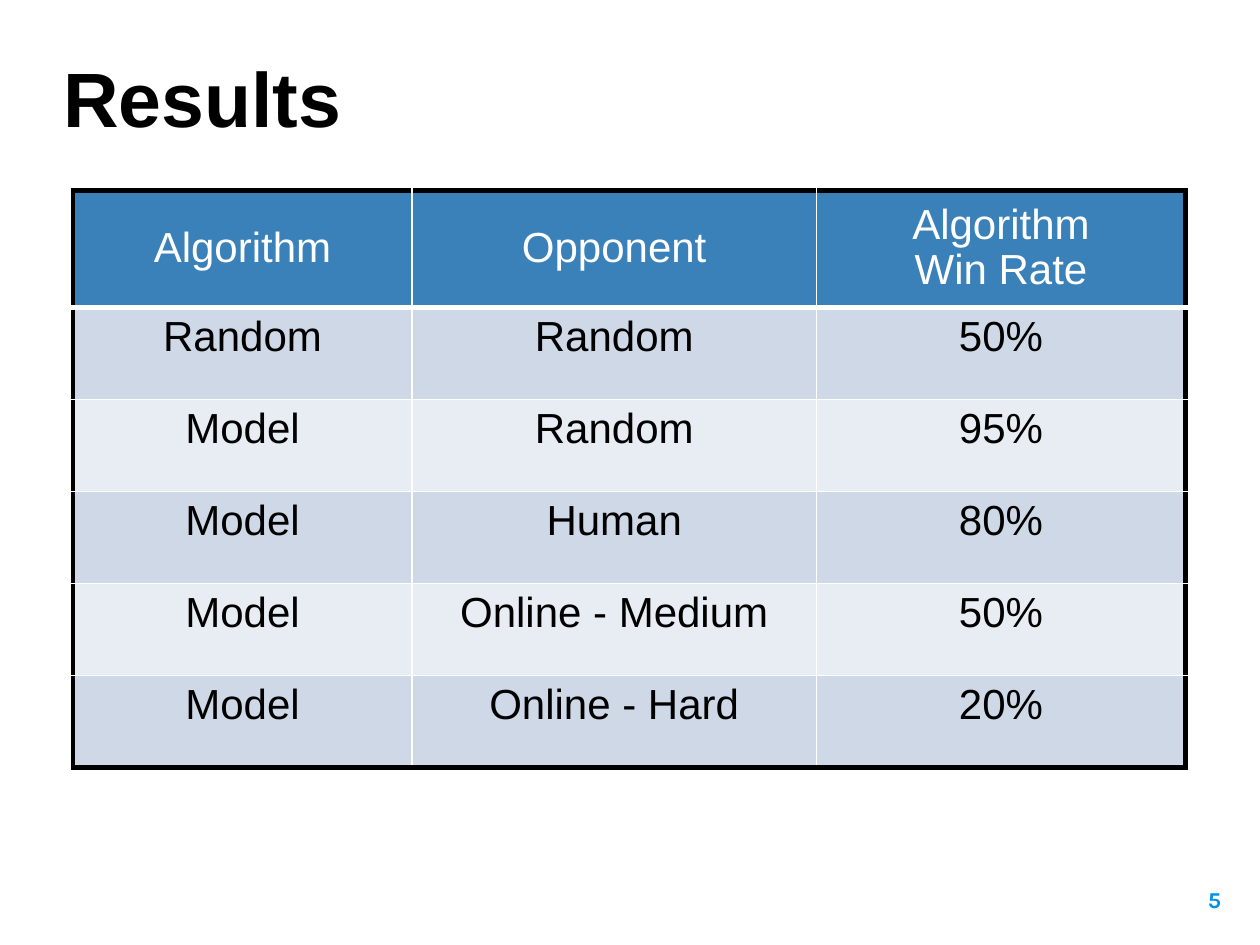
from lxml import etree
from pptx import Presentation
from pptx.dml.color import RGBColor
from pptx.enum.text import MSO_ANCHOR, MSO_AUTO_SIZE, PP_ALIGN
from pptx.oxml.ns import qn
from pptx.util import Inches, Pt

BLACK = RGBColor(0x00, 0x00, 0x00)
WHITE = RGBColor(0xFF, 0xFF, 0xFF)
BLUE = RGBColor(0x3A, 0x81, 0xBA)
DARK = RGBColor(0xCE, 0xD8, 0xE7)
LIGHT = RGBColor(0xE8, 0xED, 0xF3)
SKY = RGBColor(0x00, 0x91, 0xEA)

COLS = [2.69, 3.21, 2.93]
HEAD, ROW = 0.93, 0.73
DATA = [
    ["Algorithm", "Opponent", "Algorithm\nWin Rate"],
    ["Random", "Random", "50%"],
    ["Model", "Random", "95%"],
    ["Model", "Human", "80%"],
    ["Model", "Online - Medium", "50%"],
    ["Model", "Online - Hard", "20%"],
]


def style(frame, align, color, **look):
    """Align every paragraph and set its font from the look values."""
    for para in frame.paragraphs:
        para.alignment = align
        para.font.color.rgb = color
        for key, value in look.items():
            setattr(para.font, key, value)


def edge(cell, side, color, width):
    """Add one border line; sides must come in the order L, R, T, B."""
    props = cell._tc.get_or_add_tcPr()
    line = etree.SubElement(props, qn(f"a:ln{side}"), w=str(Pt(width)))
    fill = etree.SubElement(line, qn("a:solidFill"))
    etree.SubElement(fill, qn("a:srgbClr"), val=str(color))


prs = Presentation()
prs.slide_width, prs.slide_height = Inches(10), Inches(7.5)
slide = prs.slides.add_slide(prs.slide_layouts[5])

# Title
title = slide.shapes.title
title.left, title.top = Inches(0.4), Inches(0.3)
title.width, title.height = Inches(7.12), Inches(0.75)
frame = title.text_frame
frame.text = "Results"
frame.auto_size = MSO_AUTO_SIZE.NONE
frame.vertical_anchor = MSO_ANCHOR.TOP
frame.margin_top, frame.margin_bottom = Inches(0.1), 0
style(frame, PP_ALIGN.LEFT, BLACK, name="Arial", size=Pt(44), bold=True)

# Results table
last_row, last_col = len(DATA) - 1, len(COLS) - 1
table = slide.shapes.add_table(
    len(DATA), len(COLS), Inches(0.58), Inches(1.51),
    Inches(sum(COLS)), Inches(HEAD + ROW * last_row)).table
table.first_row = table.horz_banding = False
for col, width in zip(table.columns, COLS):
    col.width = Inches(width)

for r, words in enumerate(DATA):
    table.rows[r].height = Inches(ROW if r else HEAD)
    for c, word in enumerate(words):
        cell = table.cell(r, c)
        cell.text = word
        style(cell.text_frame, PP_ALIGN.CENTER, BLACK if r else WHITE,
              name="Arial", size=Pt(24), bold=False)
        if r == 0:
            cell.vertical_anchor = MSO_ANCHOR.MIDDLE
            for para in cell.text_frame.paragraphs:
                para.line_spacing = 0.95
        outer = {"L": c == 0, "R": c == last_col,
                 "T": r == 0, "B": r == last_row}
        for side, dark in outer.items():
            thick = dark or (r == 0 and side == "B")
            edge(cell, side, BLACK if dark else WHITE, 3 if thick else 1)
        cell.fill.solid()
        cell.fill.fore_color.rgb = BLUE if r == 0 else DARK if r % 2 else LIGHT

# Page number
page = slide.shapes.add_textbox(
    Inches(9.19), Inches(6.93), Inches(0.6), Inches(0.57)).text_frame
page.word_wrap = True
for side in ("left", "top", "right", "bottom"):
    setattr(page, f"margin_{side}", Inches(0.1))
page.text = "5"
style(page, PP_ALIGN.RIGHT, SKY, name="Karla", size=Pt(13), bold=True)

prs.save("out.pptx")
